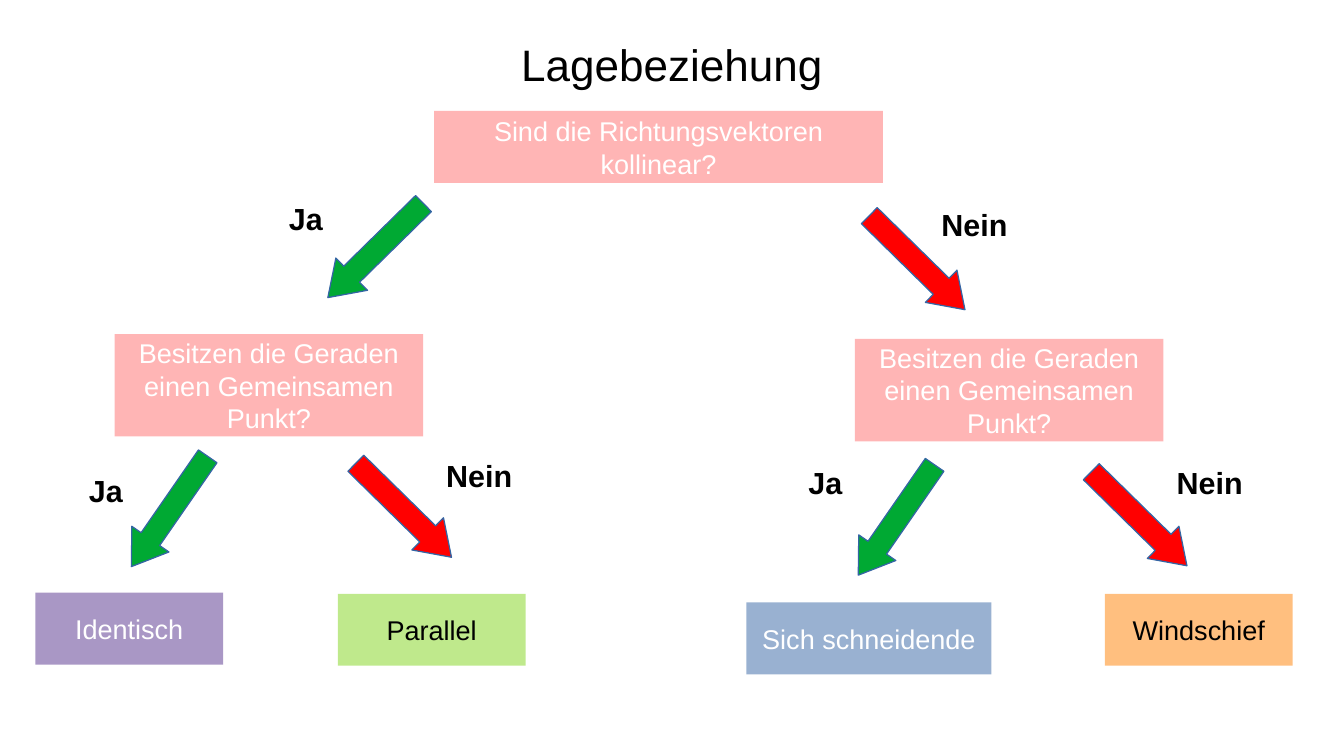
from dataclasses import dataclass
from pptx import Presentation
from pptx.dml.color import RGBColor as Rgb
from pptx.enum.shapes import MSO_SHAPE as Kind
from pptx.enum.text import MSO_ANCHOR as Anchor, PP_ALIGN as Align
from pptx.oxml.ns import qn
from pptx.util import Emu, Pt

PX = 9144


@dataclass(frozen=True)
class Theme:
    font: str = "Arial"
    title: int = 26
    body: int = 16
    label: int = 18
    dark: str = "000000"
    light: str = "FFFFFF"
    ask: str = "FF6D6D"
    same: str = "55308D"
    along: str = "81D41A"
    cross: str = "3465A4"
    skew: str = "FF8000"
    yes: str = "00A933"
    no: str = "FF0000"
    edge: str = "3465A4"
    alpha: int = 50


T = Theme()


def px(*nums):
    return [Emu(n * PX) for n in nums]


def apply(item, form):
    for name, value in form.items():
        setattr(item, name, value)


def write(shape, text, size, color, bold=False, align=Align.CENTER,
          anchor=Anchor.MIDDLE, pad=(10, 5)):
    side, top = px(*pad)
    frame = shape.text_frame
    apply(frame, dict(word_wrap=True, vertical_anchor=anchor,
                      margin_left=side, margin_right=side,
                      margin_top=top, margin_bottom=top))
    para = frame.paragraphs[0]
    para.alignment = align
    run = para.add_run()
    run.text = text
    apply(run.font, dict(name=T.font, size=Pt(size), bold=bold))
    run.font.color.rgb = Rgb.from_string(color)


def paint(slide, kind, box, color):
    shape = slide.shapes.add_shape(kind, *px(*box))
    shape.shadow.inherit = False
    shape.fill.solid()
    shape.fill.fore_color.rgb = Rgb.from_string(color)
    return shape


def heading(slide, box):
    shape = slide.shapes.add_textbox(*px(*box))
    write(shape, "Lagebeziehung", T.title, T.dark, pad=(0, 0))


def panel(slide, box, text, fill, color):
    shape = paint(slide, Kind.RECTANGLE, box, fill)
    shape.line.fill.background()
    tone = shape.fill._xPr.find(".//" + qn("a:srgbClr"))
    tone.makeelement(qn("a:alpha"), {})
    alpha = tone.makeelement(qn("a:alpha"), {"val": str(T.alpha * 1000)})
    tone.append(alpha)
    write(shape, text, T.body, color)


def arrow(slide, box, angle, color):
    shape = paint(slide, Kind.RIGHT_ARROW, box, color)
    shape.rotation = angle
    shape.adjustments[0] = 0.5
    shape.adjustments[1] = 0.74
    shape.line.color.rgb = Rgb.from_string(T.edge)
    shape.line.width = Pt(0)


def label(slide, box, text):
    shape = slide.shapes.add_textbox(*px(*box))
    write(shape, text, T.label, T.dark, True, Align.LEFT, Anchor.TOP)


def fork(slide, box, text, tilt, yes, no):
    left, top = box[:2]
    panel(slide, box, text, T.ask, T.light)
    sides = (("Ja", (52, 38), tilt, T.yes, yes),
             ("Nein", (89, 66), 44.5, T.no, no))
    for word, size, angle, color, (ax, ay, lx, ly) in sides:
        arrow(slide, (left + ax, top + ay, 110, 37), angle, color)
        label(slide, (left + lx, top + ly, *size), word)


def results(slide, box):
    left, top, _, high = box
    cells = (("Identisch", 0, 0, 154, T.same, T.light),
             ("Parallel", 248, 1, 154, T.along, T.dark),
             ("Sich schneidende", 583, 8, 201, T.cross, T.light),
             ("Windschief", 877, 1, 154, T.skew, T.dark))
    for text, dx, dy, wide, fill, color in cells:
        panel(slide, (left + dx, top + dy, wide, high), text, fill, color)


def main():
    deck = Presentation()
    deck.slide_width, deck.slide_height = px(1102, 620)
    slide = deck.slides.add_slide(deck.slide_layouts[6])
    heading(slide, (55, 25, 992, 55))
    point = "Besitzen die Geraden einen Gemeinsamen Punkt?"
    fork(slide, (356, 91, 368, 59), "Sind die Richtungsvektoren kollinear?",
         135.5, (-103, 96, -129, 68), (341, 106, 406, 73))
    fork(slide, (94, 274, 253, 84), point,
         124.7, (-10, 127, -31, 108), (182, 126, 262, 96))
    fork(slide, (701, 278, 253, 84), point,
         124.7, (-21, 130, -48, 98), (178, 129, 254, 98))
    results(slide, (29, 486, 1031, 59))
    deck.save("out.pptx")


if __name__ == "__main__":
    main()
